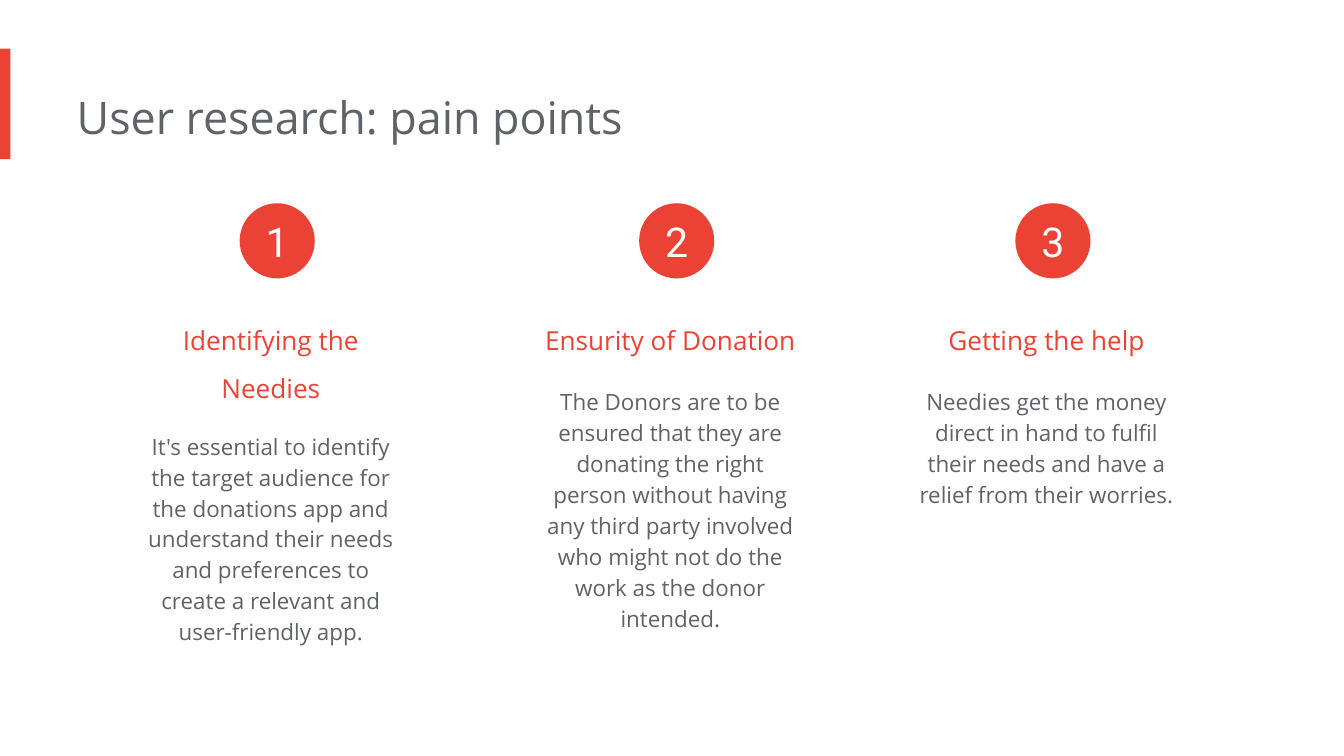
from pptx import Presentation
from pptx.dml.color import RGBColor
from pptx.enum.shapes import MSO_SHAPE
from pptx.enum.text import MSO_ANCHOR, MSO_AUTO_SIZE, PP_ALIGN
from pptx.util import Cm, Pt

TITLE = "User research: pain points"
# Each pain point: column left edge (cm), lines its heading takes, heading, explanation
PAIN_POINTS = [
    (2.64, 2, "Identifying the Needies",
     "It's essential to identify the target audience for the donations app and "
     "understand their needs and preferences to create a relevant and "
     "user-friendly app."),
    (10.19, 1, "Ensurity of Donation",
     "The Donors are to be ensured that they are donating the right person "
     "without having any third party involved who might not do the work as "
     "the donor intended."),
    (17.3, 1, "Getting the help",
     "Needies get the money direct in hand to fulfil their needs and have a "
     "relief from their worries."),
]

THEME = {
    "accent": RGBColor(0xEA, 0x43, 0x35),
    "text": RGBColor(0x5F, 0x63, 0x68),
    "light": RGBColor(0xFF, 0xFF, 0xFF),
    "font": "Open Sans",
    "number_font": "Roboto",
    "title_size": 24,
    "number_size": 22,
    "heading_size": 14,
    "body_size": 12,
}

COLUMN_WIDTH = 5.21
HEADING_TOP = 5.59
HEADING_HEIGHT = 1.42
HEADING_LINE = 0.84
BODY_HEIGHT = 4.65
BADGE_TOP = 3.84
BADGE_SIZE = 1.42
BADGE_OFFSET = 1.89
INSET = 0.25


def write(shape, text, size, color, font=THEME["font"], align=PP_ALIGN.CENTER,
          anchor=MSO_ANCHOR.TOP, spacing=1.0, insets=(0, INSET, INSET, INSET)):
    frame = shape.text_frame
    frame.text = text
    frame.word_wrap = True
    frame.auto_size = MSO_AUTO_SIZE.NONE
    frame.vertical_anchor = anchor
    (frame.margin_left, frame.margin_top,
     frame.margin_right, frame.margin_bottom) = map(Cm, insets)
    paragraph = frame.paragraphs[0]
    paragraph.alignment = align
    paragraph.line_spacing = spacing
    run_font = paragraph.runs[0].font
    run_font.name = font
    run_font.size = Pt(size)
    run_font.color.rgb = color


def place(left, top, width, height):
    return Cm(left), Cm(top), Cm(width), Cm(height)


def add_accent_shape(slide, preset, *box):
    shape = slide.shapes.add_shape(preset, *place(*box))
    shape.shadow.inherit = False
    shape.fill.solid()
    shape.fill.fore_color.rgb = THEME["accent"]
    shape.line.fill.background()
    return shape


def add_pain_point(slide, number, left, heading_lines, heading, explanation):
    extra = (heading_lines - 1) * HEADING_LINE
    heading_height = HEADING_HEIGHT + extra
    heading_box = slide.shapes.add_textbox(
        *place(left, HEADING_TOP, COLUMN_WIDTH, heading_height))
    write(heading_box, heading, THEME["heading_size"], THEME["accent"], spacing=1.5)

    explanation_box = slide.shapes.add_textbox(
        *place(left, HEADING_TOP + heading_height, COLUMN_WIDTH, BODY_HEIGHT))
    write(explanation_box, explanation, THEME["body_size"], THEME["text"], spacing=1.15)

    badge = add_accent_shape(slide, MSO_SHAPE.OVAL, left + BADGE_OFFSET,
                             BADGE_TOP, BADGE_SIZE, BADGE_SIZE)
    write(badge, str(number), THEME["number_size"], THEME["light"],
          font=THEME["number_font"], anchor=MSO_ANCHOR.MIDDLE, insets=(0, 0, 0, 0))


def main():
    deck = Presentation()
    deck.slide_width, deck.slide_height = Cm(25.4), Cm(14.28)
    slide = deck.slides.add_slide(deck.slide_layouts[5])

    add_accent_shape(slide, MSO_SHAPE.RECTANGLE, 0, 0.92, 0.2, 2.09)

    title = slide.shapes.title
    title.left, title.top, title.width, title.height = place(1.45, 1.45, 17.09, 1.55)
    write(title, TITLE, THEME["title_size"], THEME["text"], align=PP_ALIGN.LEFT)

    for number, pain_point in enumerate(PAIN_POINTS, start=1):
        add_pain_point(slide, number, *pain_point)

    deck.save("out.pptx")


if __name__ == "__main__":
    main()
